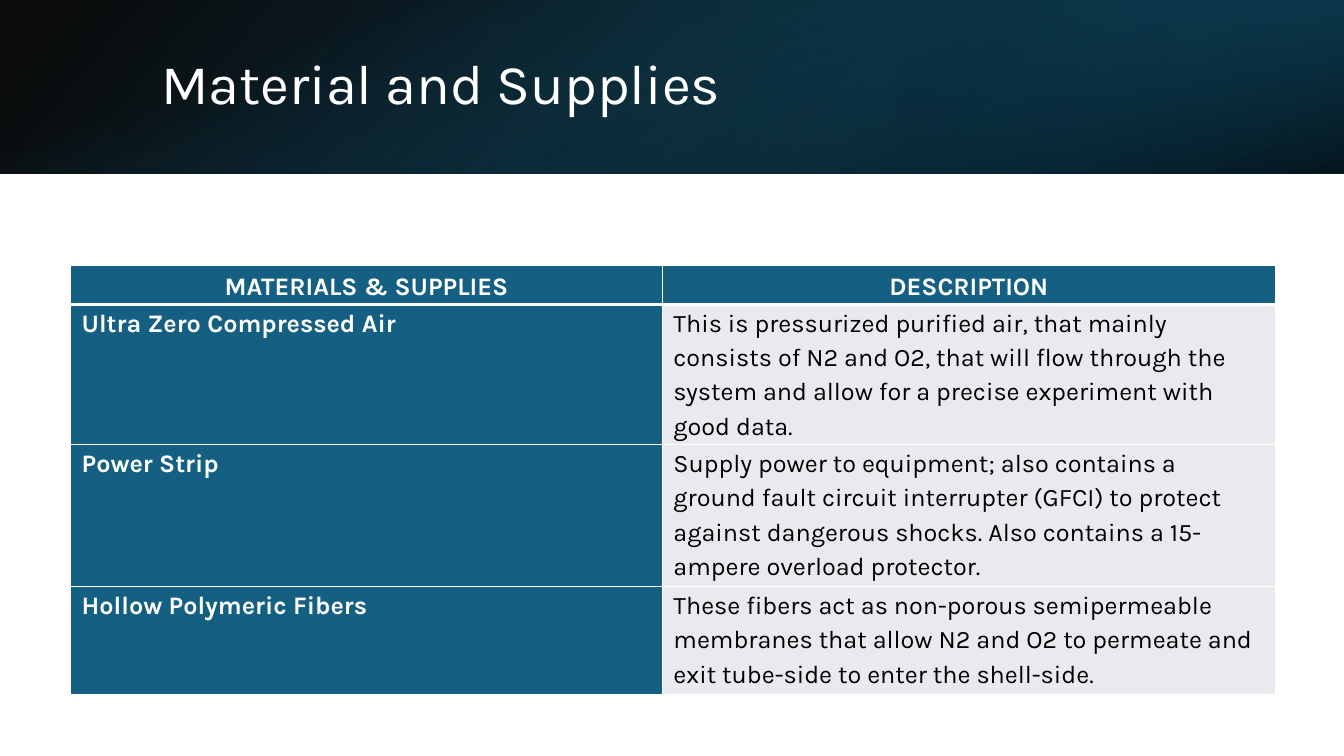
from lxml import etree
from pptx import Presentation
from pptx.dml.color import RGBColor
from pptx.enum.shapes import MSO_SHAPE
from pptx.enum.text import MSO_ANCHOR, PP_ALIGN
from pptx.oxml.ns import qn
from pptx.util import Inches, Pt

RECT = MSO_SHAPE.RECTANGLE
MID, TOP = MSO_ANCHOR.MIDDLE, MSO_ANCHOR.TOP
LEFT, CENTER = PP_ALIGN.LEFT, PP_ALIGN.CENTER
FONT = "Karla"
BLUE, GRAY, WHITE, BLACK = "156082", "E8EAED", "FFFFFF", "000000"
WIDE, HIGH, BAND = 13.33, 7.5, 1.72
COLS = [5.87, 6.08]
ROWS = [0.39, 1.07, 1.41, 1.07]
CELLS = [
    ("MATERIALS & SUPPLIES", "DESCRIPTION"),
    ("Ultra Zero Compressed Air",
     "This is pressurized purified air, that mainly consists of N2 and O2, "
     "that will flow through the system and allow for a precise experiment "
     "with good data."),
    ("Power Strip",
     "Supply power to equipment; also contains a ground fault circuit "
     "interrupter (GFCI) to protect against dangerous shocks. Also contains "
     "a 15-ampere overload protector."),
    ("Hollow Polymeric Fibers",
     "These fibers act as non-porous semipermeable membranes that allow N2 "
     "and O2 to permeate and exit tube-side to enter the shell-side."),
]


def color(code):
    return RGBColor.from_string(code)


def sub(node, tag, **attrs):
    return etree.SubElement(node, qn(tag), {k: str(v) for k, v in attrs.items()})


def write(para, text, size, code, bold=False):
    run = para.add_run()
    run.text = text
    font = run.font
    font.name, font.size, font.bold = FONT, Pt(size), bold
    font.color.rgb = color(code)


def shade(slide, box, stops, angle, turn=0, flip=False):
    shape = slide.shapes.add_shape(RECT, *map(Inches, box))
    shape.shadow.inherit = False
    shape.rotation = turn
    shape.line.fill.background()
    shape.fill.background()
    props = shape.fill._xPr
    if flip:
        props.find(qn("a:xfrm")).set("flipH", "1")
    grad = etree.Element(qn("a:gradFill"), rotWithShape="1")
    stop_list = sub(grad, "a:gsLst")
    for pos, code, alpha in stops:
        stop = sub(stop_list, "a:gs", pos=pos * 1000)
        sub(sub(stop, "a:srgbClr", val=code), "a:alpha", val=alpha * 1000)
    sub(grad, "a:lin", ang=angle * 60000, scaled=0)
    props.replace(props.find(qn("a:noFill")), grad)


def banner(slide, left, top, width, height):
    shade(slide, (left, top, width, height),
          [(0, BLACK, 96), (100, "104862", 100)], 140, flip=True)
    part = width / 3
    shade(slide, (left + width - part, top, part, height),
          [(19, "0B3041", 68), (100, BLUE, 79)], 320, 180, True)
    shift = (width - height) / 2
    shade(slide, (left + shift, top - shift, height, width),
          [(23, BLUE, 0), (99, BLACK, 74)], 340, 90)
    box = slide.shapes.add_textbox(
        Inches(left + 1.5), Inches(top + 0.38), Inches(10.98), Inches(0.96))
    frame = box.text_frame
    frame.word_wrap = True
    frame.vertical_anchor = MID
    para = frame.paragraphs[0]
    para.line_spacing = 0.9
    write(para, "Material and Supplies", 40, WHITE)


def border(cell, head, below):
    props = cell._tc.get_or_add_tcPr()
    widths = {"L": 1, "R": 1, "T": 3 if below else 1, "B": 3 if head else 1}
    for spot, (side, width) in enumerate(widths.items()):
        line = etree.Element(qn("a:ln" + side), w=str(Pt(width)))
        sub(sub(line, "a:solidFill"), "a:srgbClr", val=WHITE)
        props.insert(spot, line)


def supplies(slide, left, top):
    frame = slide.shapes.add_table(
        len(ROWS), len(COLS), Inches(left), Inches(top),
        Inches(sum(COLS)), Inches(sum(ROWS)))
    table = frame.table
    for col, width in zip(table.columns, COLS):
        col.width = Inches(width)
    for row, height in zip(table.rows, ROWS):
        row.height = Inches(height)
    for r, texts in enumerate(CELLS):
        for c, text in enumerate(texts):
            head = r == 0
            strong = head or c == 0
            cell = table.cell(r, c)
            cell.margin_left = cell.margin_right = Inches(0.11)
            cell.margin_top = cell.margin_bottom = 0
            cell.vertical_anchor = MID if head else TOP
            cell.fill.solid()
            cell.fill.fore_color.rgb = color(BLUE if strong else GRAY)
            border(cell, head, r == 1)
            para = cell.text_frame.paragraphs[0]
            para.alignment = CENTER if head else LEFT
            para.line_spacing = 1.16
            para.space_after = Pt(8)
            write(para, text, 18, WHITE if strong else BLACK, strong)


def main():
    deck = Presentation()
    deck.slide_width, deck.slide_height = Inches(WIDE), Inches(HIGH)
    slide = deck.slides.add_slide(deck.slide_layouts[6])
    banner(slide, 0, 0, WIDE, BAND)
    supplies(slide, 0.7, 2.63)
    deck.save("out.pptx")


if __name__ == "__main__":
    main()
